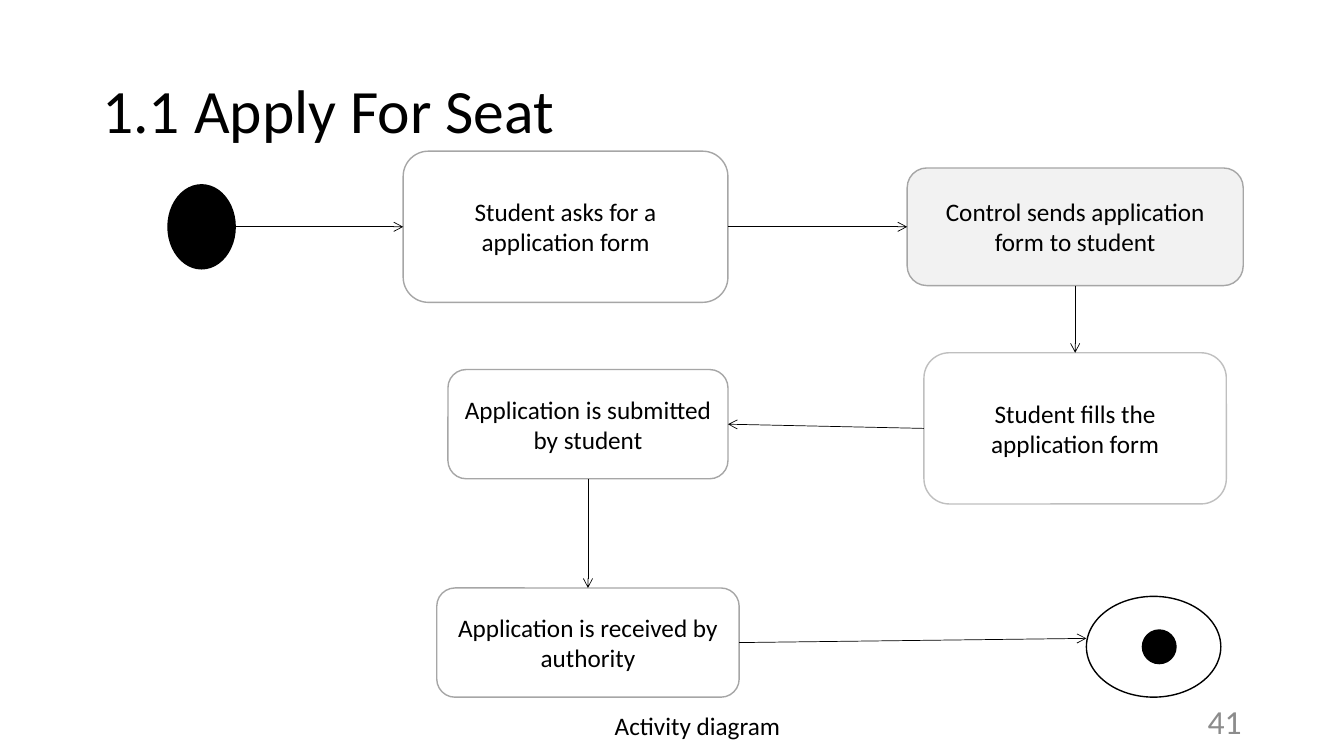
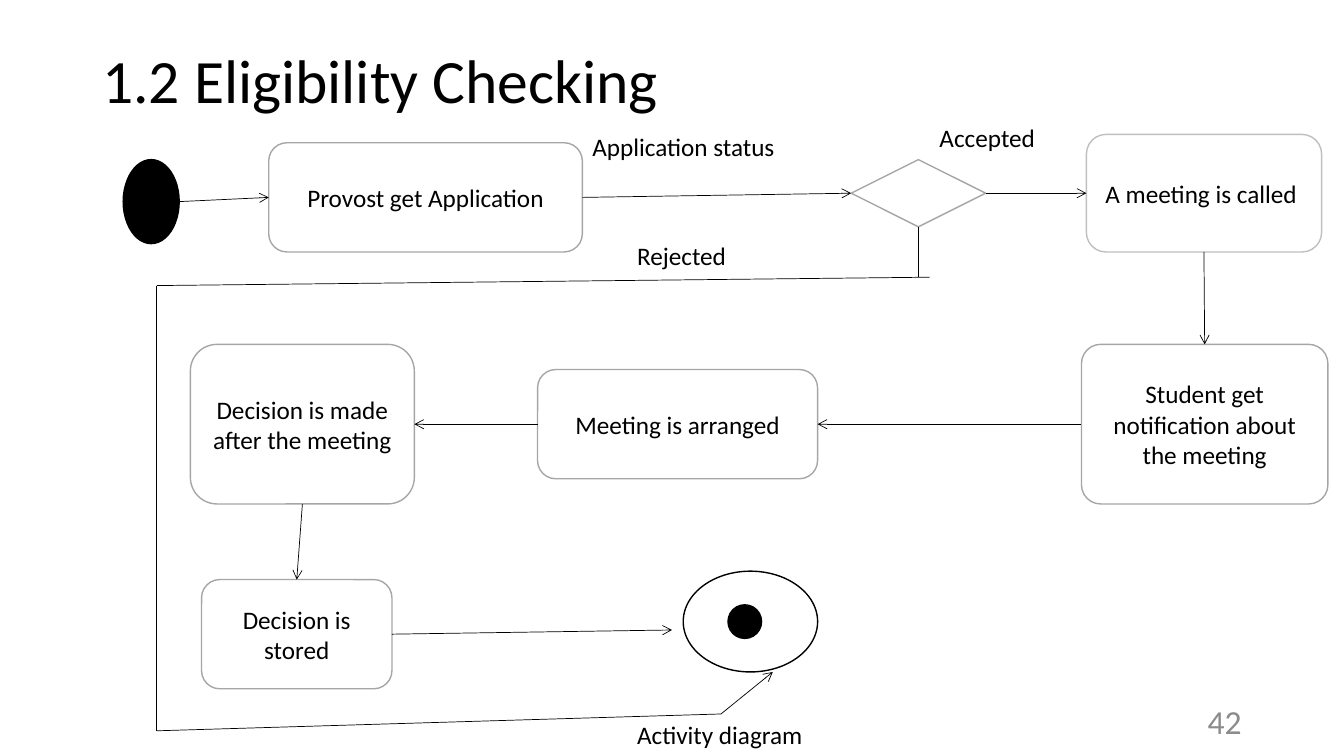
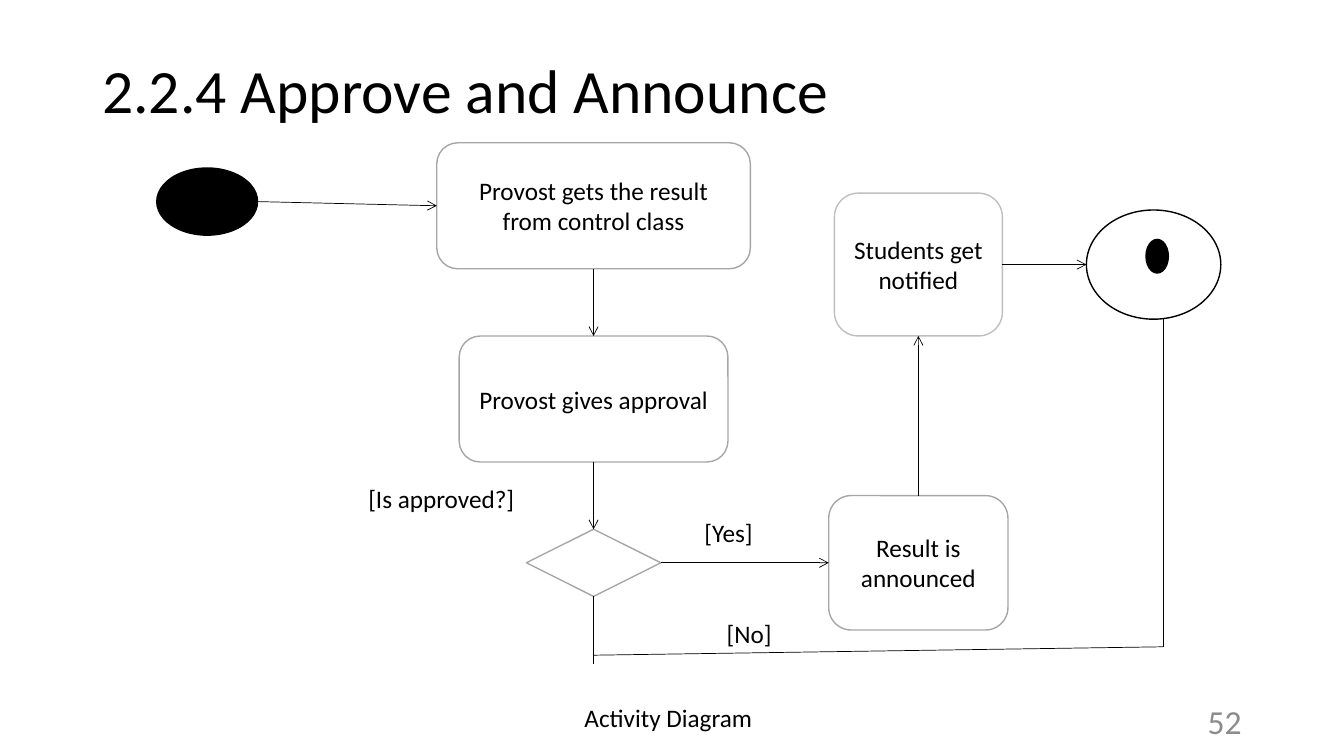
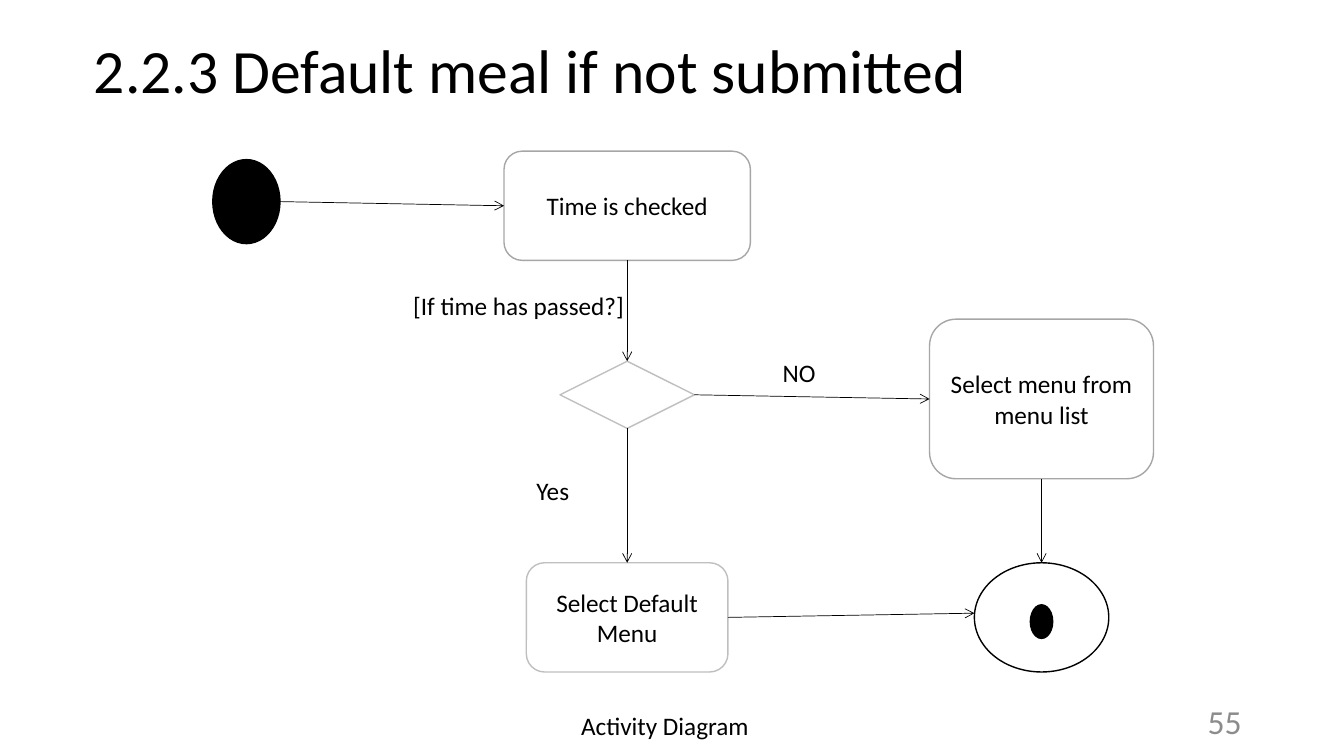
from lxml.etree import SubElement
from pptx import Presentation
from pptx.dml.color import RGBColor
from pptx.enum.shapes import MSO_CONNECTOR, MSO_SHAPE
from pptx.enum.text import MSO_ANCHOR, MSO_AUTO_SIZE, PP_ALIGN
from pptx.oxml.ns import qn
from pptx.util import Pt

FONT = "Calibri"
COLOURS = {
    "ink": "000000",
    "paper": "FFFFFF",
    "tint": "F2F2F2",
    "edge": "A6A6A6",
    "pale_edge": "BFBFBF",
    "number": "8C8C8C",
}
TOP, LEFT, BOTTOM, RIGHT = range(4)


def colour(name):
    return RGBColor.from_string(COLOURS[name])


# Text
def add_run(para, text, size, ink="ink"):
    span = para.add_run()
    span.text = text
    span.font.name = FONT
    span.font.size = Pt(size)
    span.font.color.rgb = colour(ink)


def add_text(page, text, x, y, width, height, size=18, ink="ink", wrap=True):
    box = page.shapes.add_textbox(Pt(x), Pt(y), Pt(width), Pt(height))
    box.text_frame.word_wrap = wrap
    add_run(box.text_frame.paragraphs[0], text, size, ink)
    return box


def add_label(page, text, x, y, width, wrap=False):
    box = add_text(page, text, x, y, width, 29, wrap=wrap)
    box.text_frame.auto_size = MSO_AUTO_SIZE.SHAPE_TO_FIT_TEXT


def start_page(deck, title, number, title_y, title_x=66):
    """Add a blank page with its title and page number."""
    page = deck.slides.add_slide(deck.slide_layouts[6])
    heading = add_text(page, title, title_x, title_y, 828, 104.4, size=44)
    heading.text_frame.vertical_anchor = MSO_ANCHOR.MIDDLE
    heading.text_frame.paragraphs[0].line_spacing = 0.9
    footer = add_text(page, number, 678, 500.4, 216, 28.8, size=24, ink="number")
    footer.text_frame.vertical_anchor = MSO_ANCHOR.MIDDLE
    footer.text_frame.paragraphs[0].alignment = PP_ALIGN.RIGHT
    return page


# Diagram nodes
def add_node(page, kind, x, y, width, height, fill="paper", edge="edge"):
    node = page.shapes.add_shape(kind, Pt(x), Pt(y), Pt(width), Pt(height))
    node.shadow.inherit = False
    node.fill.solid()
    node.fill.fore_color.rgb = colour(fill)
    node.line.color.rgb = colour(edge)
    node.line.width = Pt(1)
    return node


def add_step(page, text, x, y, width, height, fill="paper", edge="edge"):
    step = add_node(page, MSO_SHAPE.ROUNDED_RECTANGLE, x, y, width, height, fill, edge)
    frame = step.text_frame
    frame.word_wrap = True
    frame.vertical_anchor = MSO_ANCHOR.MIDDLE
    frame.paragraphs[0].alignment = PP_ALIGN.CENTER
    add_run(frame.paragraphs[0], text, 18)
    return step


def add_decision(page, x, y, edge="edge"):
    return add_node(page, MSO_SHAPE.FLOWCHART_DECISION, x, y, 96, 48, edge=edge)


def add_start(page, x, y, width, height):
    return add_node(page, MSO_SHAPE.OVAL, x, y, width, height, "ink", "ink")


def add_finish(page, x, y, height, dot_x, dot_y, dot_width):
    ring = add_node(page, MSO_SHAPE.OVAL, x, y, 96, height, edge="ink")
    add_node(page, MSO_SHAPE.FLOWCHART_CONNECTOR, dot_x, dot_y, dot_width, 24,
             "ink", "ink")
    return ring


# Lines: an end is either a point (x, y) or a pair (node, side)
def is_point(end):
    return isinstance(end[0], (int, float))


def locate(end):
    if is_point(end):
        return Pt(end[0]), Pt(end[1])
    node, side = end
    middle_x, middle_y = node.left + node.width // 2, node.top + node.height // 2
    return {
        TOP: (middle_x, node.top),
        LEFT: (node.left, middle_y),
        BOTTOM: (middle_x, node.top + node.height),
        RIGHT: (node.left + node.width, middle_y),
    }[side]


def can_join(end):
    """Ovals number their connection sites differently, so they stay unjoined."""
    return not is_point(end) and end[0].auto_shape_type != MSO_SHAPE.OVAL


def add_line(page, begin, end, arrow=False):
    line = page.shapes.add_connector(MSO_CONNECTOR.STRAIGHT, *locate(begin), *locate(end))
    if can_join(begin):
        line.begin_connect(*begin)
    if can_join(end):
        line.end_connect(*end)
    line.line.color.rgb = colour("ink")
    line.line.width = Pt(0.5)
    if arrow:
        SubElement(line.line._get_or_add_ln(), qn("a:tailEnd"), type="arrow")
    SubElement(line._element.spPr, qn("a:effectLst"))


def add_arrow(page, begin, end):
    add_line(page, begin, end, arrow=True)


# Pages
def apply_for_seat(deck):
    page = start_page(deck, "1.1 Apply For Seat", "41", 28.8)
    start = add_start(page, 120, 132, 48, 60)
    asks = add_step(page, "Student asks for a application form", 288, 108, 232, 108)
    sends = add_step(page, "Control sends application form to student",
                     648, 120, 240, 84, fill="tint")
    fills = add_step(page, "Student fills the application form",
                     660, 252, 216, 108, edge="pale_edge")
    submitted = add_step(page, "Application is submitted by student", 320, 264, 200, 78)
    received = add_step(page, "Application is received by authority", 312, 420, 216, 78)
    add_finish(page, 776, 426, 72, 816, 450, 24)

    add_arrow(page, (start, RIGHT), (asks, LEFT))
    add_arrow(page, (asks, RIGHT), (sends, LEFT))
    add_arrow(page, (sends, BOTTOM), (fills, TOP))
    add_arrow(page, (fills, LEFT), (submitted, RIGHT))
    add_arrow(page, (submitted, BOTTOM), (received, TOP))
    add_arrow(page, (received, RIGHT), (776, 456))
    add_label(page, "Activity diagram", 432, 504, 240, wrap=True)


def eligibility_checking(deck):
    page = start_page(deck, "1.2 Eligibility Checking", "42", 7.2)
    start = add_start(page, 88, 114, 40, 60)
    provost = add_step(page, "Provost get Application", 192, 102, 224, 78)
    status = add_decision(page, 608, 114)
    called = add_step(page, "A meeting is called ", 776, 96, 168, 84, edge="pale_edge")
    notified = add_step(page, "Student get notification about the meeting",
                        772.5, 246, 176, 114)
    notified.adjustments[0] = 0.12
    arranged = add_step(page, "Meeting is arranged", 384, 264, 200, 78)
    decided = add_step(page, "Decision is made after the meeting", 136, 246, 160, 114)
    stored = add_step(page, "Decision is stored", 144, 414, 136, 78)
    add_finish(page, 488, 408, 72, 520, 432, 24)

    add_arrow(page, (start, RIGHT), (provost, LEFT))
    add_arrow(page, (provost, RIGHT), (status, LEFT))
    add_arrow(page, (status, RIGHT), (called, LEFT))
    add_arrow(page, (called, BOTTOM), (notified, TOP))
    add_arrow(page, (notified, LEFT), (arranged, RIGHT))
    add_arrow(page, (arranged, LEFT), (decided, RIGHT))
    add_arrow(page, (decided, BOTTOM), (stored, TOP))
    add_arrow(page, (stored, RIGHT), (480, 450))

    # Rejected branch
    add_line(page, (status, BOTTOM), (656, 198))
    add_line(page, (112, 204), (664, 198))
    add_line(page, (112, 204), (112, 522))
    add_line(page, (112, 522), (515, 510))
    add_arrow(page, (515, 510), (552, 480))

    add_label(page, "Application status", 416, 90, 232, wrap=True)
    add_label(page, "Accepted", 664, 84, 143, wrap=True)
    add_label(page, "Rejected", 448, 168, 78.5)
    add_label(page, "Activity diagram", 448, 510, 134)


def approve_and_announce(deck):
    page = start_page(deck, "2.2.4 Approve and Announce", "52", 14.4)
    start = add_start(page, 112, 120, 72, 48)
    result = add_step(page, "Provost gets the result from control class",
                      312, 102, 224, 90)
    approval = add_step(page, "Provost gives approval", 328, 240, 192, 90)
    approved = add_decision(page, 376, 378)
    announced = add_step(page, "Result is announced", 592, 354, 128, 96)
    notified = add_step(page, "Students get notified", 596, 138, 120, 102,
                        edge="pale_edge")

    # Not approved branch, its tip lies behind the finish
    add_line(page, (approved, BOTTOM), (424, 474))
    add_line(page, (424, 468), (831, 462))
    add_arrow(page, (831, 462), (831, 213))
    finish = add_finish(page, 776, 150, 78, 818.6, 171, 16)

    add_arrow(page, (start, RIGHT), (result, LEFT))
    add_arrow(page, (result, BOTTOM), (approval, TOP))
    add_arrow(page, (approval, BOTTOM), (approved, TOP))
    add_arrow(page, (approved, RIGHT), (announced, LEFT))
    add_arrow(page, (announced, TOP), (notified, BOTTOM))
    add_arrow(page, (notified, RIGHT), (finish, LEFT))

    add_label(page, "[Is approved?]", 256, 342, 247, wrap=True)
    add_label(page, "[Yes]", 496, 366, 76, wrap=True)
    add_label(page, "[No]", 512, 438, 47)
    add_label(page, "Activity Diagram", 410.4, 498, 135.4)


def default_meal(deck):
    page = start_page(deck, "2.2.3 Default meal if not submitted", "55", 0, title_x=60)
    start = add_start(page, 152, 114, 48, 60)
    checked = add_step(page, "Time is checked", 360, 108, 176, 78)
    passed = add_decision(page, 400, 258, edge="pale_edge")
    default = add_step(page, "Select Default Menu", 376, 402, 144, 78, edge="pale_edge")
    menu = add_step(page, "Select menu from menu list", 664, 228, 160, 114)
    finish = add_finish(page, 696, 402, 78, 736, 432, 16)

    add_arrow(page, (start, RIGHT), (checked, LEFT))
    add_arrow(page, (checked, BOTTOM), (passed, TOP))
    add_arrow(page, (passed, BOTTOM), (default, TOP))
    add_arrow(page, (passed, RIGHT), (menu, LEFT))
    add_arrow(page, (default, RIGHT), (696, 438))
    add_arrow(page, (menu, BOTTOM), (finish, TOP))

    add_label(page, "[If time has passed?]", 288, 204, 248, wrap=True)
    add_label(page, "NO", 552, 252, 38)
    add_label(page, "Yes", 376, 336, 38)
    add_label(page, "Activity Diagram", 408, 504, 135.4)


def main():
    deck = Presentation()
    deck.slide_width, deck.slide_height = Pt(960), Pt(540)
    apply_for_seat(deck)
    eligibility_checking(deck)
    approve_and_announce(deck)
    default_meal(deck)
    deck.save("out.pptx")


if __name__ == "__main__":
    main()
